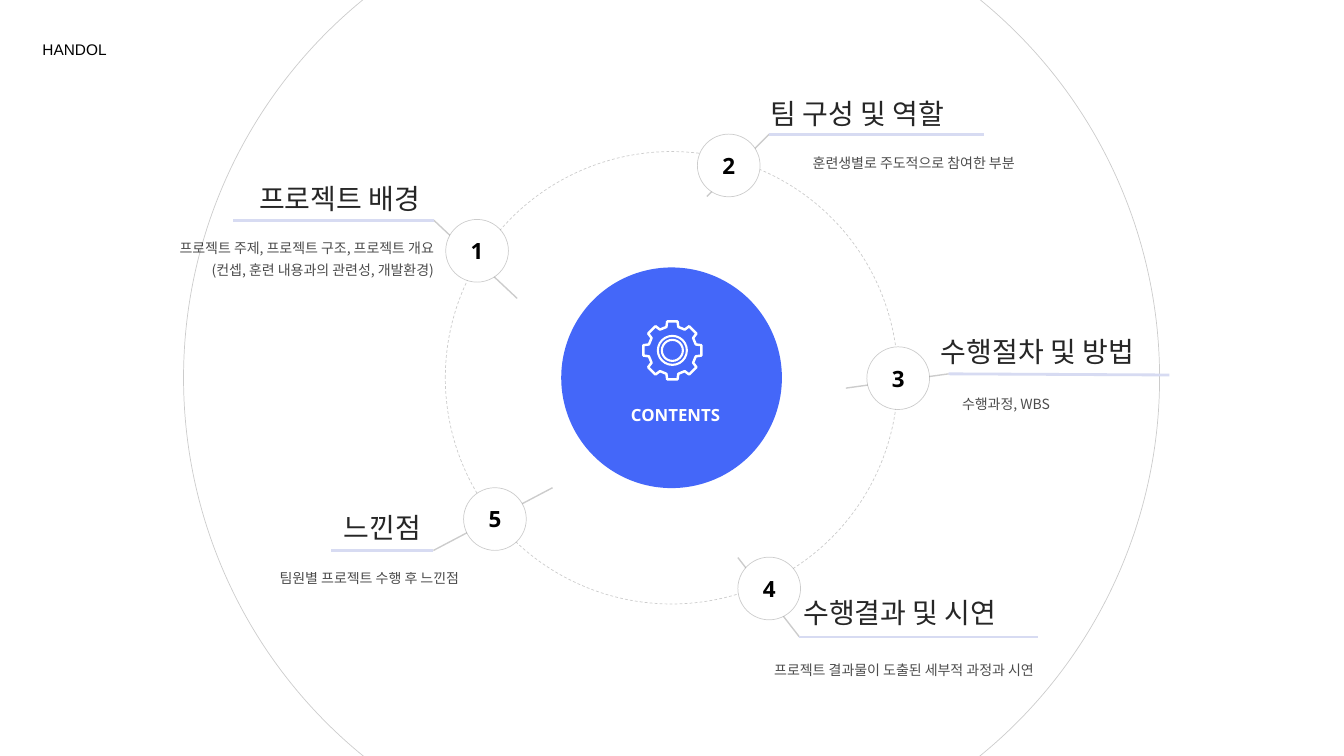
from dataclasses import dataclass
from math import cos, radians, sin

from lxml.etree import SubElement
from pptx import Presentation
from pptx.dml.color import RGBColor
from pptx.enum.dml import MSO_LINE
from pptx.enum.shapes import MSO_CONNECTOR, MSO_SHAPE
from pptx.enum.text import MSO_ANCHOR as Anchor, MSO_AUTO_SIZE as AutoSize, PP_ALIGN as Align
from pptx.oxml.ns import qn
from pptx.util import Cm, Pt

# Content: positions in cm; each spoke runs from inner to elbow, then the rule runs to end
BRAND = "HANDOL"
TITLE = "CONTENTS"
TOPICS = [
    dict(heading="프로젝트 배경",
         details=["프로젝트 주제, 프로젝트 구조, 프로젝트 개요", "(컨셉, 훈련 내용과의 관련성, 개발환경)"],
         node=(12.02, 6.32), inner=(13.03, 7.52), elbow=(10.93, 5.55), end=(5.87, 5.55),
         heading_box=(6.53, 4.45, 5.11), detail_box=(3.28, 5.77, 7.65)),
    dict(heading="팀 구성 및 역할", details=["훈련생별로 주도적으로 참여한 부분"],
         node=(18.36, 4.17), inner=(17.81, 4.95), elbow=(19.38, 3.38), end=(24.79, 3.38),
         heading_box=(19.41, 2.29, 5.66), detail_box=(17.91, 3.63, 7.65)),
    dict(heading="수행절차 및 방법", details=["수행과정, WBS"],
         node=(22.63, 9.53), inner=(21.31, 9.78), elbow=(23.9, 9.42), end=(29.46, 9.45),
         heading_box=(23.7, 8.31, 5.77), detail_box=(22.61, 9.7, 3.84)),
    dict(heading="수행결과 및 시연", details=["프로젝트 결과물이 도출된 세부적 과정과 시연"],
         node=(19.38, 14.83), inner=(18.59, 14.05), elbow=(20.14, 16.05), end=(26.14, 16.05),
         heading_box=(20.24, 14.88, 7.26), detail_box=(17.58, 16.41, 8.46)),
    dict(heading="느낀점", details=["팀원별 프로젝트 수행 후 느낀점"],
         node=(12.47, 13.08), inner=(13.92, 12.29), elbow=(10.92, 13.87), end=(8.33, 13.87),
         heading_box=(8.66, 12.73, 2.34), detail_box=(3.91, 14.1, 7.65)),
]
CENTER = (16.92, 9.52)
OUTER_RING, DASHED_RING, HUB, NODE = 24.59, 11.4, 5.56, 1.58
GEAR_CENTER = (16.94, 8.83)
GEAR_RINGS = (0.73, 0.53)
GEAR_TEETH = 8
TOOTH = [(-0.15, -0.59), (-0.13, -0.73), (0.13, -0.73), (0.15, -0.59)]


@dataclass(frozen=True)
class Theme:
    # Colours are (hex, opacity in percent)
    black: tuple = ("000000", 100)
    white: tuple = ("FFFFFF", 100)
    hairline: tuple = ("000000", 20)
    heading: tuple = ("262626", 100)
    detail: tuple = ("000000", 70)
    accent: tuple = ("4467F9", 100)
    rule: tuple = ("D7DBF2", 100)
    korean: str = "Noto Sans CJK KR"
    latin: str = "Open Sans"
    brand: str = "Arial"
    heading_size: int = 20
    number_size: int = 16
    title_size: int = 12
    brand_size: int = 11
    detail_size: int = 10


theme = Theme()


def paint(fill, color):
    fill.solid()
    fill.fore_color.rgb = RGBColor.from_string(color[0])
    if color[1] < 100:
        solid_fill = fill._xPr.find(qn("a:solidFill"))
        SubElement(solid_fill[0], qn("a:alpha"), val=str(color[1] * 1000))


def write(shape, lines, *, size, color, font=theme.latin, bold=False, align=Align.CENTER,
          anchor=Anchor.MIDDLE, spacing=None, side_inset=0.0, grow=False):
    frame = shape.text_frame
    frame.word_wrap = True
    frame.auto_size = AutoSize.SHAPE_TO_FIT_TEXT if grow else AutoSize.NONE
    frame.vertical_anchor = anchor
    frame.margin_left = frame.margin_right = Cm(side_inset)
    frame.margin_top = frame.margin_bottom = Cm(0.13)
    for index, line in enumerate(lines):
        paragraph = frame.add_paragraph() if index else frame.paragraphs[0]
        paragraph.alignment = align
        paragraph.line_spacing = spacing
        run = paragraph.add_run()
        run.text = line
        run.font.name, run.font.size, run.font.bold = font, Pt(size), bold
        paint(run.font.fill, color)
        latin = run.font._element.find(qn("a:latin"))
        latin.addnext(latin.makeelement(qn("a:ea"), typeface=font))


def style(shape, fill=None, line=None, width=0.5):
    shape.shadow.inherit = False
    if fill:
        paint(shape.fill, fill)
    else:
        shape.fill.background()
    if line:
        paint(shape.line.fill, line)
        shape.line.width = Pt(width)
    else:
        shape.line.fill.background()
    return shape


def add_circle(slide, center, diameter, **look):
    left, top = (Cm(value - diameter / 2) for value in center)
    circle = slide.shapes.add_shape(MSO_SHAPE.OVAL, left, top, Cm(diameter), Cm(diameter))
    return style(circle, **look)


def add_line(slide, start, end, color, width):
    line = slide.shapes.add_connector(MSO_CONNECTOR.STRAIGHT, *map(Cm, start + end))
    paint(line.line.fill, color)
    line.line.width = Pt(width)
    SubElement(line._element.spPr, qn("a:effectLst"))


def add_text(slide, box, lines, **look):
    write(slide.shapes.add_textbox(*map(Cm, box)), lines, **look)


def add_gear(slide):
    points = []
    for tooth in range(GEAR_TEETH):
        angle = radians(360 / GEAR_TEETH * tooth)
        for x, y in TOOTH:
            points.append((Cm(GEAR_CENTER[0] + x * cos(angle) - y * sin(angle)),
                           Cm(GEAR_CENTER[1] + x * sin(angle) + y * cos(angle))))
    builder = slide.shapes.build_freeform(*points[0])
    builder.add_line_segments(points[1:], close=True)
    gear = style(builder.convert_to_shape(), line=theme.white, width=1.75)
    SubElement(gear.line._ln, qn("a:round"))
    for diameter in GEAR_RINGS:
        add_circle(slide, GEAR_CENTER, diameter, line=theme.white, width=1.5)


def main():
    presentation = Presentation()
    presentation.slide_width, presentation.slide_height = Cm(33.86), Cm(19.05)
    slide = presentation.slides.add_slide(presentation.slide_layouts[5])

    # Spokes and rings
    for topic in TOPICS:
        add_line(slide, topic["inner"], topic["elbow"], theme.hairline, 1)
    add_circle(slide, CENTER, OUTER_RING, line=theme.hairline)
    dashed_ring = add_circle(slide, CENTER, DASHED_RING, line=theme.hairline)
    dashed_ring.line.dash_style = MSO_LINE.DASH

    # Hub with gear and title
    hub = add_circle(slide, CENTER, HUB, fill=theme.accent)
    add_gear(slide)
    title = slide.shapes.title
    title.left, title.top, title.width, title.height = map(Cm, (14.52, 10.04, 5, 0.8))
    write(title, [TITLE], size=theme.title_size, color=theme.white, bold=True)
    hub._element.addnext(title._element)

    # Numbered topics
    for number, topic in enumerate(TOPICS, 1):
        node = add_circle(slide, topic["node"], NODE, fill=theme.white, line=theme.hairline)
        write(node, [str(number)], size=theme.number_size, color=theme.black, bold=True)
        add_text(slide, topic["heading_box"] + (1.09,), [topic["heading"]], font=theme.korean,
                 size=theme.heading_size, color=theme.heading, align=Align.LEFT,
                 anchor=Anchor.TOP, grow=True)
        add_text(slide, topic["detail_box"] + (0.27 + 0.54 * len(topic["details"]),),
                 topic["details"], font=theme.korean, size=theme.detail_size,
                 color=theme.detail, align=Align.RIGHT, anchor=Anchor.TOP, spacing=1.3, grow=True)
        add_line(slide, topic["elbow"], topic["end"], theme.rule, 2)

    # Brand label
    add_text(slide, (0.56, 0.64, 2.64, 1.19), [BRAND], font=theme.brand,
             size=theme.brand_size, color=theme.black)

    presentation.save("out.pptx")


if __name__ == "__main__":
    main()
